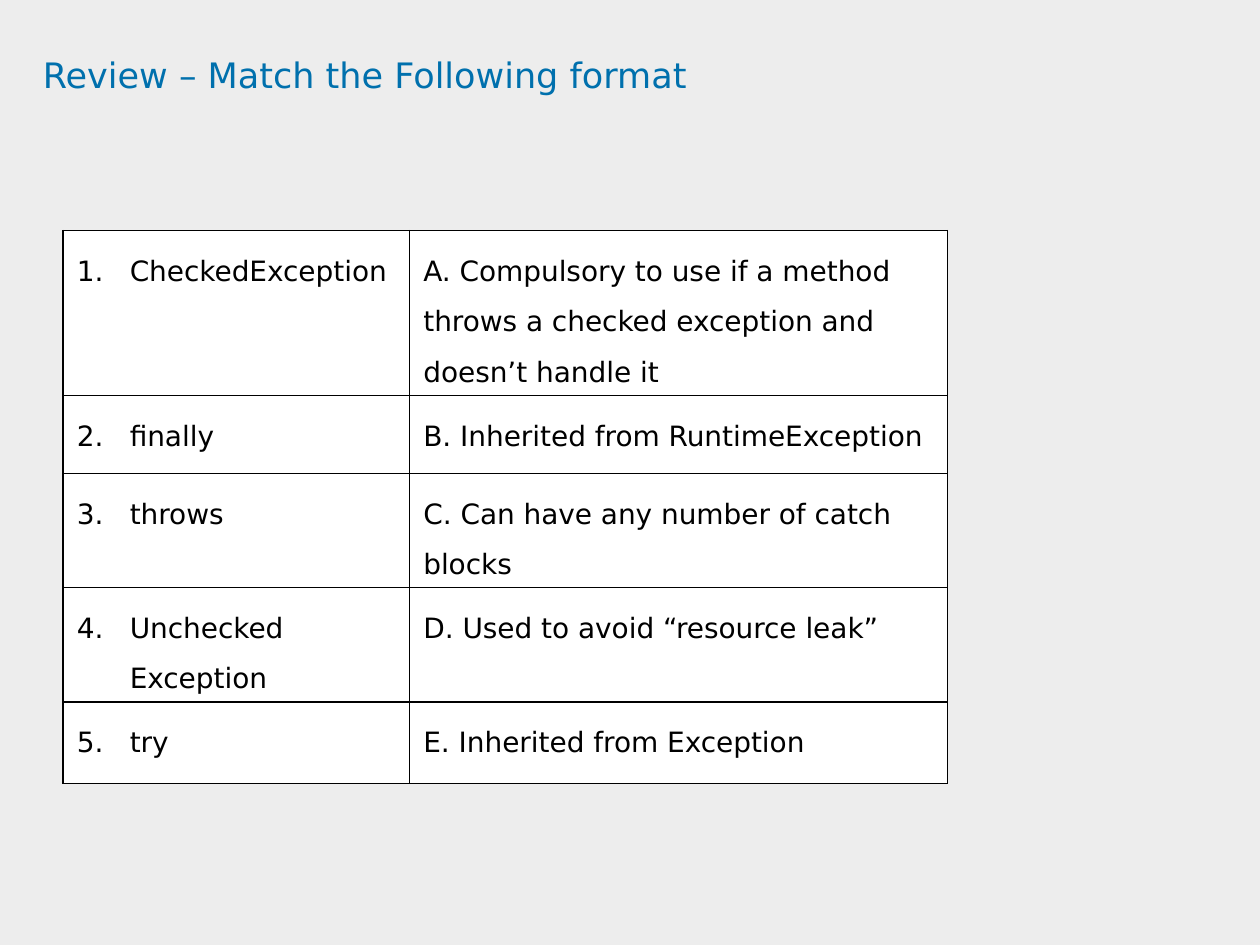
"""Build a review slide with a match-the-following table."""
from lxml import etree
from pptx import Presentation
from pptx.dml.color import RGBColor
from pptx.enum.shapes import MSO_SHAPE
from pptx.oxml.ns import qn
from pptx.util import Inches, Pt

RECTANGLE = MSO_SHAPE.RECTANGLE

TITLE = "Review – Match the Following format"
PAIRS = [
    ("CheckedException", "A. Compulsory to use if a method throws a checked exception and doesn’t handle it"),
    ("finally", "B. Inherited from RuntimeException"),
    ("throws", "C. Can have any number of catch blocks"),
    ("Unchecked Exception", "D. Used to avoid “resource leak”"),
    ("try", "E. Inherited from Exception"),
]
THEME = {
    "font": "DejaVu Sans",
    "title_size": 20,
    "body_size": 16,
    "background": "EDEDED",
    "title": "0070AD",
    "text": "000000",
    "cell": "FFFFFF",
    "border": "000000",
}
SLIDE_SIZE = (10, 7.5)
TITLE_BOX = (0.34, 0.46, 9.09, 0.94)
TABLE_ORIGIN = (0.5, 1.83)
COLUMN_WIDTHS = (2.75, 4.27)
ROW_HEIGHTS = (1.3, 0.62, 0.9, 0.9, 0.65)
NUMBER_INDENT = 0.42
LINE_PITCH = 29


def color(name):
    return RGBColor.from_string(THEME[name])


def add_child(parent, tag, **attributes):
    return etree.SubElement(parent, qn(tag), attributes)


def style_font(paragraph, size, color_name):
    paragraph.font.name = THEME["font"]
    paragraph.font.size = Pt(THEME[size])
    paragraph.font.color.rgb = color(color_name)


def add_background(slide):
    shape = slide.shapes.add_shape(RECTANGLE, 0, 0, *map(Inches, SLIDE_SIZE))
    shape.shadow.inherit = False
    shape.fill.solid()
    shape.fill.fore_color.rgb = color("background")
    shape.line.fill.background()


def add_title(slide):
    frame = slide.shapes.add_textbox(*map(Inches, TITLE_BOX)).text_frame
    frame.word_wrap = True
    frame.margin_left = frame.margin_right = frame.margin_top = frame.margin_bottom = 0
    paragraph = frame.paragraphs[0]
    paragraph.text = TITLE
    paragraph.line_spacing = 0.9
    style_font(paragraph, "title_size", "title")


def fill_cell(cell, text, number=None):
    cell.text = text
    cell.margin_left = cell.margin_right = Inches(0.11)
    cell.margin_top = cell.margin_bottom = Inches(0.05)
    properties = cell._tc.get_or_add_tcPr()
    for side in ("a:lnL", "a:lnR", "a:lnT", "a:lnB"):
        line = add_child(properties, side, w=str(Pt(1)))
        add_child(add_child(line, "a:solidFill"), "a:srgbClr", val=THEME["border"])
    cell.fill.solid()
    cell.fill.fore_color.rgb = color("cell")

    paragraph = cell.text_frame.paragraphs[0]
    paragraph.line_spacing = Pt(LINE_PITCH)
    layout = paragraph._p.get_or_add_pPr()
    add_child(add_child(layout, "a:spcBef"), "a:spcPct", val="20000")
    if number:
        layout.set("marL", str(Inches(NUMBER_INDENT)))
        layout.set("indent", str(-Inches(NUMBER_INDENT)))
        add_child(layout, "a:buFont", typeface=THEME["font"])
        add_child(layout, "a:buAutoNum", type="arabicPeriod", startAt=str(number))
    style_font(paragraph, "body_size", "text")


def add_matching_table(slide):
    size = (sum(COLUMN_WIDTHS), sum(ROW_HEIGHTS))
    frame = slide.shapes.add_table(
        len(PAIRS), len(COLUMN_WIDTHS), *map(Inches, TABLE_ORIGIN + size)
    )
    table = frame.table
    table.first_row = table.horz_banding = False
    for column, width in zip(table.columns, COLUMN_WIDTHS):
        column.width = Inches(width)
    for row, height in zip(table.rows, ROW_HEIGHTS):
        row.height = Inches(height)
    for index, (term, description) in enumerate(PAIRS):
        fill_cell(table.cell(index, 0), term, number=index + 1)
        fill_cell(table.cell(index, 1), description)


def main():
    presentation = Presentation()
    presentation.slide_width, presentation.slide_height = map(Inches, SLIDE_SIZE)
    slide = presentation.slides.add_slide(presentation.slide_layouts[6])
    add_background(slide)
    add_title(slide)
    add_matching_table(slide)
    presentation.save("out.pptx")


if __name__ == "__main__":
    main()
